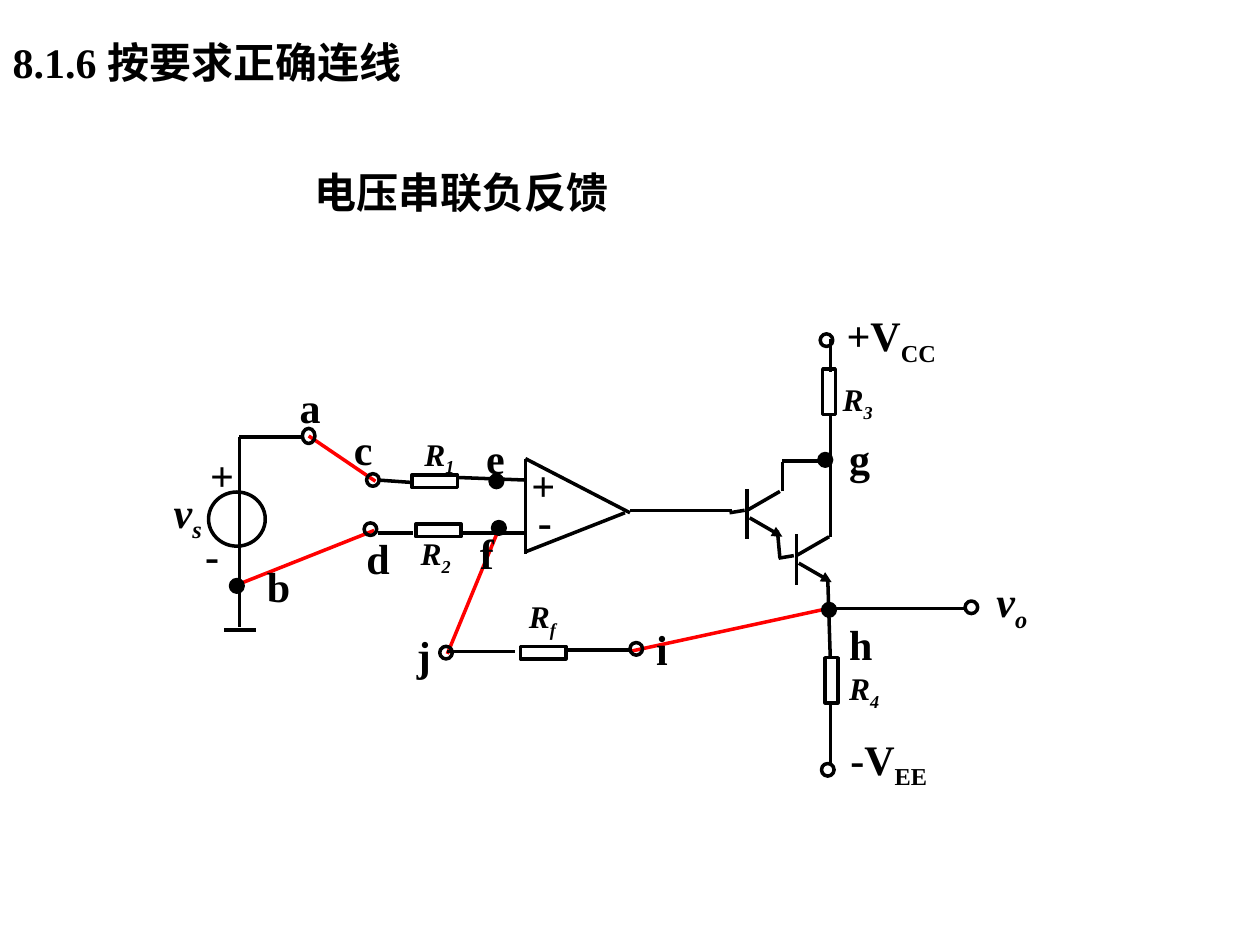
from lxml import etree
from pptx import Presentation
from pptx.dml.color import RGBColor
from pptx.enum.shapes import MSO_CONNECTOR, MSO_SHAPE
from pptx.enum.text import MSO_ANCHOR, MSO_AUTO_SIZE, PP_ALIGN
from pptx.oxml.ns import qn
from pptx.util import Inches, Pt

LINE = MSO_CONNECTOR.STRAIGHT
RECTANGLE, OVAL = MSO_SHAPE.RECTANGLE, MSO_SHAPE.OVAL
TOP, LEFT, NO_FIT = MSO_ANCHOR.TOP, PP_ALIGN.LEFT, MSO_AUTO_SIZE.NONE
BLACK = RGBColor(0x00, 0x00, 0x00)
RED = RGBColor(0xFF, 0x00, 0x00)
FONT = "Times New Roman"
STROKE = Pt(2)
TITLE_ONLY = 5


def write(box, text, subscript="", size=24, italic=False):
    frame = box.text_frame
    frame.word_wrap = True
    frame.auto_size = NO_FIT
    frame.vertical_anchor = TOP
    para = frame.paragraphs[0]
    para.alignment = LEFT
    para.space_before = Pt(0)
    for part in filter(None, (text, subscript)):
        span = para.add_run()
        span.text = part
        span.font.name = FONT
        span.font.size = Pt(size)
        span.font.bold = True
        span.font.italic = italic
        span.font.color.rgb = BLACK
        if part is subscript:
            span.font._element.set("baseline", "-25000")


class Circuit:
    """Draws circuit symbols on a slide, or in the group that is open."""

    def __init__(self, slide):
        self.slide = slide
        self.shapes = slide.shapes

    def open_group(self):
        self.shapes = self.slide.shapes.add_group_shape().shapes

    def close_group(self):
        self.shapes = self.slide.shapes

    def title(self, text, left, top, width, height):
        box = self.slide.shapes.title
        box.left, box.top = Inches(left), Inches(top)
        box.width, box.height = Inches(width), Inches(height)
        write(box, text)

    def label(self, text, left, top, width=0.5, height=0.5, **style):
        box = self.shapes.add_textbox(Inches(left), Inches(top),
                                      Inches(width), Inches(height))
        write(box, text, **style)

    def wire(self, x1, y1, x2, y2, color=BLACK, arrow=False):
        wire = self.shapes.add_connector(LINE, Inches(x1), Inches(y1),
                                         Inches(x2), Inches(y2))
        wire.line.color.rgb = color
        wire.line.width = STROKE
        if arrow:
            etree.SubElement(wire.line._get_or_add_ln(), qn("a:tailEnd"), type="triangle")
        etree.SubElement(wire._element.spPr, qn("a:effectLst"))

    def outline(self, kind, x, y, width, height, filled=False):
        """Places a shape by its centre."""
        shape = self.shapes.add_shape(kind, Inches(x - width / 2), Inches(y - height / 2),
                                      Inches(width), Inches(height))
        shape.shadow.inherit = False
        shape.line.color.rgb = BLACK
        shape.line.width = STROKE
        if filled:
            shape.fill.solid()
            shape.fill.fore_color.rgb = BLACK
        else:
            shape.fill.background()
        return shape

    def resistor(self, x, y, rotation=0):
        self.outline(RECTANGLE, x, y, 0.1, 0.36).rotation = rotation

    def node(self, x, y, filled=False, height=0.1):
        self.outline(OVAL, x, y, 0.1, height, filled)

    def transistor(self, x, y):
        """Places a transistor by the top of its bar."""
        self.wire(x, y, x, y + 0.4)
        self.wire(x, y + 0.17, x + 0.26, y + 0.02)
        self.wire(x + 0.02, y + 0.23, x + 0.28, y + 0.38, arrow=True)
        self.wire(x - 0.02, y + 0.17, x - 0.14, y + 0.19)


RED_WIRES = [
    (2.45, 3.46, 2.98, 3.82),
    (1.86, 4.65, 2.97, 4.21),
    (5, 5.17, 6.57, 4.83),
    (3.95, 4.22, 3.55, 5.19),
]
RESISTOR_LABELS = [("1", 3.27, 3.4), ("2", 3.24, 4.19), ("f", 4.1, 4.69),
                   ("3", 6.59, 2.97), ("4", 6.64, 5.26)]
RESISTORS = [(3.45, 3.82, 90), (3.48, 4.21, 90), (4.31, 5.18, 90),
             (6.58, 3.11, 0), (6.6, 5.4, 0)]
WIRES = [
    # Amplifier triangle
    (4.17, 3.64, 4.17, 4.4), (4.17, 3.64, 5, 4.07), (4.96, 4.07, 4.17, 4.38),
    # Source and ground
    (1.9, 3.47, 1.9, 4.98), (1.78, 5, 2.03, 5), (1.9, 3.47, 2.4, 3.47),
    # Amplifier inputs and output
    (3, 3.81, 3.28, 3.83), (3.64, 3.79, 4.17, 3.81),
    (3, 4.23, 3.28, 4.23), (3.67, 4.23, 4.17, 4.23), (5, 4.05, 5.81, 4.05),
    # Transistor links
    (6.17, 4.21, 6.19, 4.43), (6.21, 3.9, 6.21, 3.67), (6.21, 3.66, 6.59, 3.66),
    # Supply rail and output
    (6.59, 2.95, 6.59, 2.69), (6.59, 4.26, 6.59, 3.28), (6.57, 4.6, 6.59, 5.23),
    (6.59, 5.59, 6.59, 6.07), (6.59, 4.83, 7.67, 4.83),
    # Feedback branch
    (3.55, 5.17, 4.09, 5.17), (4.48, 5.16, 5, 5.16),
]
TERMINALS = [(2.96, 3.81), (2.94, 4.2), (6.56, 2.7), (6.57, 6.11),
             (7.71, 4.82), (3.54, 5.18), (5.05, 5.15)]
JUNCTIONS = [(3.94, 3.82), (3.96, 4.19), (6.55, 3.65), (6.58, 4.84), (1.88, 4.65)]
LABELS = [
    ("a", 2.28, 2.98), ("b", 2.02, 4.4), ("c", 2.71, 3.31), ("d", 2.81, 4.18),
    ("e", 3.76, 3.38), ("f", 3.71, 4.14), ("g", 6.64, 3.38), ("h", 6.64, 4.86),
    ("i", 5.11, 4.9), ("j", 3.21, 4.95),
    ("+", 4.12, 3.6), ("-", 4.17, 3.88), ("+", 1.57, 3.52), ("-", 1.53, 4.15),
]


def main():
    deck = Presentation()
    deck.slide_width, deck.slide_height = Inches(10), Inches(7.5)
    circuit = Circuit(deck.slides.add_slide(deck.slide_layouts[TITLE_ONLY]))

    # Headings
    circuit.title("8.1.6 按要求正确连线", 0, 0.24, 8.4, 0.5)
    circuit.label("电压串联负反馈", 2.4, 1.27, 4.74)

    # Answer connections
    circuit.open_group()
    for ends in RED_WIRES:
        circuit.wire(*ends, color=RED)
    circuit.close_group()

    # Resistor names
    for index, left, top in RESISTOR_LABELS:
        circuit.label("R", left, top, 0.73, 0.4, subscript=index, size=18, italic=True)

    # Circuit symbols
    circuit.open_group()
    for ends in WIRES:
        circuit.wire(*ends)
    circuit.transistor(5.93, 3.88)
    circuit.transistor(6.32, 4.24)
    for place in RESISTORS:
        circuit.resistor(*place)
    circuit.outline(OVAL, 1.88, 4.12, 0.45, 0.43)
    circuit.node(2.45, 3.46, height=0.12)
    for place in TERMINALS:
        circuit.node(*place)
    for place in JUNCTIONS:
        circuit.node(*place, filled=True)

    # Circuit labels
    for text, left, top in LABELS:
        circuit.label(text, left, top)
    circuit.label("v", 1.28, 3.81, 0.57, subscript="s", italic=True)
    circuit.label("v", 7.81, 4.52, 0.59, subscript="o", italic=True)
    circuit.label("+V", 6.62, 2.41, 1.28, subscript="CC")
    circuit.label("-V", 6.65, 5.77, 1.28, subscript="EE")
    circuit.close_group()

    deck.save("out.pptx")


if __name__ == "__main__":
    main()
